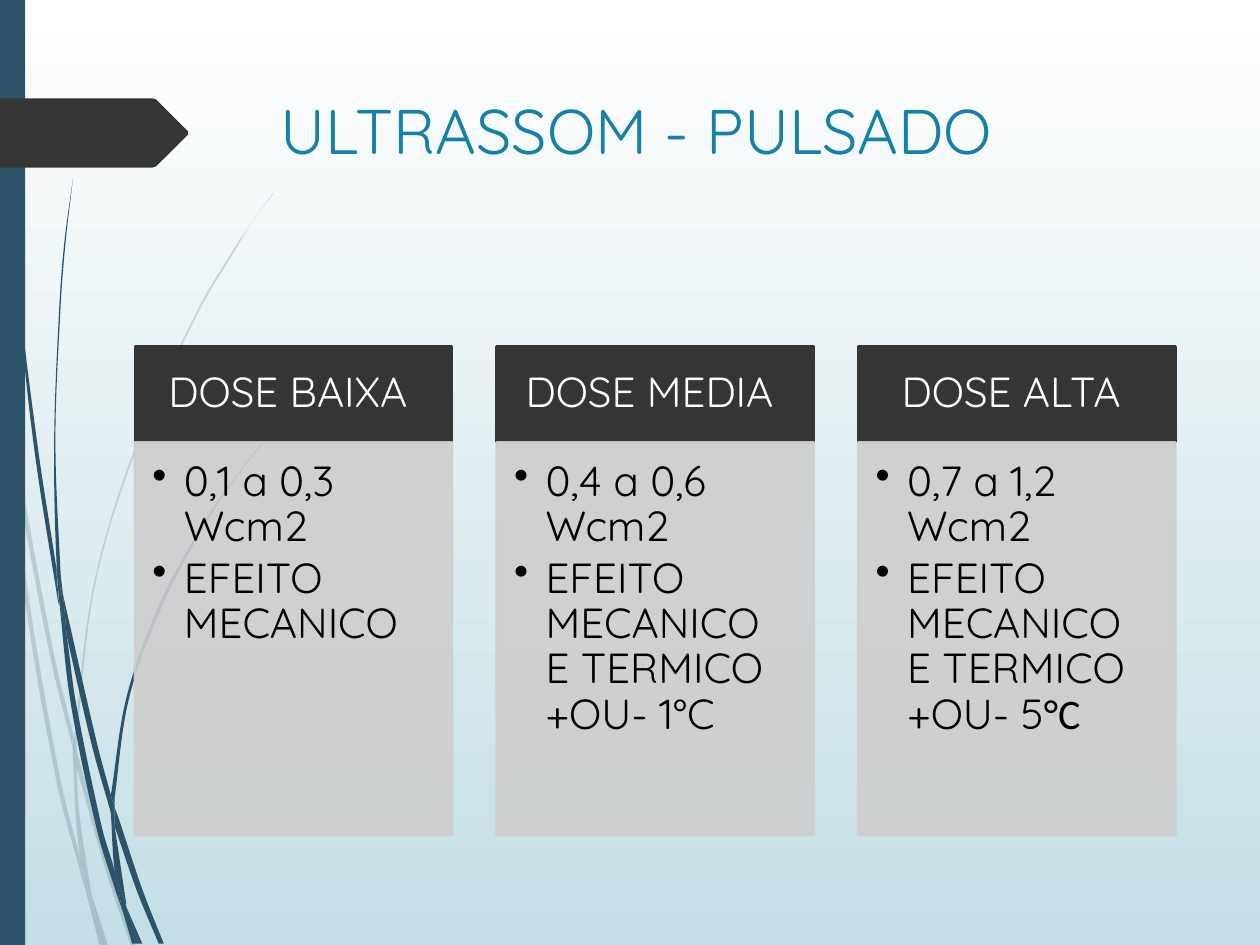
"""Build the slide on pulsed ultrasound doses: title, three dose columns and curved side strands."""
from math import dist
from lxml import etree
from pptx import Presentation, util as u
from pptx.dml.color import RGBColor
from pptx.enum import shapes, text
from pptx.oxml.ns import qn

TITLE = "ULTRASSOM - PULSADO"
DOSES = [
    ("DOSE BAIXA ", [["0,1 a 0,3 Wcm2"], ["EFEITO MECANICO"]]),
    ("DOSE MEDIA ", [["0,4 a 0,6 Wcm2"], ["EFEITO MECANICO E TERMICO +OU- 1°C"]]),
    ("DOSE ALTA ", [["0,7 a 1,2 Wcm2"], ["EFEITO MECANICO E TERMICO +OU- 5", "°C"]]),
]
PALE_STRANDS = [
    ([(.08, 3.5), (.06, 3.22), (0, 2.82)], [(0, 2.99), (.07, 3.44)]),
    ([(.1, 3.45), (.43, 5.2), (.59, 5.86)], [(.59, 5.99), (.4, 5.22), (.12, 3.76)]),
    ([(.61, 5.96), (.64, 6.07), (.88, 6.92), (1.08, 7.51)],
     [(1.04, 7.51), (.85, 6.94), (.61, 6.1)]),
    ([(.73, 7.11), (.86, 7.51)], [(.83, 7.51)]),
    ([(.08, 3.5), (.12, 3.76), (.22, 4.69), (.48, 6.19), (.64, 6.83), (.69, 7.07), (.7, 7.14)],
     [(.64, 6.93), (.45, 6.21), (.19, 4.7), (.08, 3.5)]),
    ([(.58, 5.99), (.6, 6.46), (.64, 6.83), (.67, 6.92), (.73, 7.11)],
     [(.72, 7.06), (.63, 6.46), (.61, 6.1), (.61, 6.08)]),
    ([(2.17, 1.53), (2.01, 1.75), (1.86, 1.97), (1.58, 2.44), (1.1, 3.48), (.75, 4.61),
      (.59, 5.84), (.59, 5.86)],
     [(.61, 5.96), (.61, 5.84), (.76, 4.62), (1.11, 3.49), (1.59, 2.45), (1.87, 1.98),
      (2.01, 1.75), (2.17, 1.54)]),
    ([(.7, 7.14), (.79, 7.51)], [(.82, 7.51)]),
    ([(.59, 5.86), (.58, 5.99), (.61, 6.08)], [(.61, 6.1), (.61, 5.96)]),
    ([(.65, 6.83), (.69, 7.07), (.7, 7.14), (.82, 7.51)],
     [(.83, 7.51), (.73, 7.11), (.67, 6.92)]),
]
DARK_STRANDS = [
    ([(.02, 0), (.03, .48), (.05, 1.1), (.14, 2.33), (.27, 3.55), (.46, 4.77), (.47, 4.81)],
     [(.45, 4.57), (.45, 4.53), (.3, 3.55), (.15, 2.32), (.06, 1.09), (.04, .48), (.03, 0)]),
    ([(.5, 4.72), (.77, 5.9), (.88, 6.31)], [(.88, 6.45), (.73, 5.92), (.53, 5.05)]),
    ([(.91, 6.41), (.94, 6.49), (1.13, 7.06), (1.3, 7.49)],
     [(1.26, 7.49), (1.09, 7.08), (.91, 6.56)]),
    ([(.47, 4.77), (.53, 5.05), (.6, 5.56), (.81, 6.57), (.91, 6.91), (.96, 7.17), (.97, 7.22)],
     [(.92, 7.08), (.77, 6.59), (.56, 5.57), (.47, 4.77)]),
    ([(.58, 1.41), (.52, 1.93), (.48, 2.45), (.44, 3.49), (.48, 4.53), (.5, 4.72)],
     [(.49, 4.72), (.45, 4.49), (.43, 3.49), (.47, 2.45), (.51, 1.93), (.58, 1.41)]),
    ([(1, 7.19), (1.13, 7.49)], [(1.1, 7.49)]),
    ([(.45, 4.49), (.49, 4.72), (.5, 4.72), (.53, 5.05)], [(.47, 4.77), (.45, 4.53)]),
    ([(2.15, 3.44), (2.03, 3.58), (1.91, 3.73), (1.68, 4.05), (1.29, 4.74), (1.01, 5.51),
      (.88, 6.31)],
     [(.91, 6.41), (.91, 6.33), (1.03, 5.52), (1.31, 4.76), (1.69, 4.06), (1.91, 3.74),
      (2.03, 3.59), (2.16, 3.44)]),
    ([(.97, 7.22), (1.05, 7.49)], [(1.08, 7.49)]),
    ([(.88, 6.45), (.91, 6.91), (.96, 7.06), (1, 7.19)],
     [(1, 7.16), (.91, 6.56), (.9, 6.51)]),
    ([(.88, 6.31), (.88, 6.45), (.91, 6.56)], [(.91, 6.41)]),
    ([(.91, 6.91), (.96, 7.17), (.97, 7.22), (1.08, 7.49)],
     [(1.1, 7.49), (1, 7.19), (.96, 7.06)]),
]
ARROW = [(0, .78), (1.21, .78), (1.24, .79), (1.49, 1.04), (1.49, 1.07), (1.24, 1.32),
         (1.21, 1.33), (0, 1.33)]

WHITE = RGBColor(0xFF, 0xFF, 0xFF)
BLACK = RGBColor(0, 0, 0)
SKY = RGBColor(0xC5, 0xDE, 0xE5)
NAVY = RGBColor(0x2E, 0x53, 0x69)
CHARCOAL = RGBColor(0x35, 0x35, 0x35)
SILVER = RGBColor(0xCE, 0xCE, 0xCE)
TEAL = RGBColor(0x15, 0x81, 0xAA)

WIDTH, HEIGHT = 10, 7.5
COLUMN_LEFT, COLUMN_PITCH, COLUMN_WIDTH = 1.07, 2.87, 2.52
HEADER_TOP, HEADER_HEIGHT, BODY_TOP, BODY_HEIGHT = 2.75, .76, 3.51, 3.12
SIDES = ("margin_left", "margin_top", "margin_right", "margin_bottom")
HEADER_FRAME = dict(zip(SIDES, map(u.Inches, (.19, .11, .19, .11))),
                    vertical_anchor=text.MSO_ANCHOR.MIDDLE)
BODY_FRAME = dict(zip(SIDES, map(u.Inches, (.14, .14, .19, .21))),
                  vertical_anchor=text.MSO_ANCHOR.TOP)
HEADER_PARAGRAPH = {"alignment": text.PP_ALIGN.CENTER, "line_spacing": .9}
BODY_PARAGRAPH = {"alignment": text.PP_ALIGN.LEFT, "line_spacing": .9,
                  "space_after": u.Pt(3.6), "level": 1}


def assign(target, values):
    for name, value in values.items():
        setattr(target, name, value)


def set_opacity(fill, percent):
    color = fill._xPr.find(".//" + qn("a:srgbClr"))
    etree.SubElement(color, qn("a:alpha"), val=str(percent * 1000))


def paint(shape, color, opacity=100, outlined=False):
    shape.shadow.inherit = False
    fills = [shape.fill]
    if outlined:
        shape.line.width = u.Pt(1.25)
        fills.append(shape.line.fill)
    else:
        shape.line.fill.background()
    for fill in fills:
        fill.solid()
        fill.fore_color.rgb = color
        if opacity < 100:
            set_opacity(fill, opacity)


def smooth(points):
    """Return the points with two Bézier handles between each neighbouring pair."""
    padded = [points[0], *points, points[-1]]
    tangents = [[(q - p) / ((dist(a, b) + dist(b, c)) or 1) for p, q in zip(a, c)]
                for a, b, c in zip(padded, padded[1:], padded[2:])]
    curve = [points[0]]
    for a, b, start, end in zip(points, points[1:], tangents, tangents[1:]):
        reach = dist(a, b) / 3
        curve += [tuple(p + reach * t for p, t in zip(a, start)),
                  tuple(p - reach * t for p, t in zip(b, end)), b]
    return curve


def draw_outline(container, points, color, opacity=100):
    start, *rest = [(u.Inches(x), u.Inches(y)) for x, y in points]
    builder = container.build_freeform(*start)
    builder.add_line_segments(rest, close=True)
    shape = builder.convert_to_shape()
    paint(shape, color, opacity)
    return shape


def draw_strand(container, outer, inner, color, opacity):
    points = smooth(outer) + [outer[-1], inner[0]] + smooth(inner)
    shape = draw_outline(container, points, color, opacity)
    lines = list(shape._element.iter(qn("a:lnTo")))
    for trio in zip(lines[::3], lines[1::3], lines[2::3]):
        curve = etree.Element(qn("a:cubicBezTo"))
        trio[0].addprevious(curve)
        for line in trio:
            curve.append(line[0])
            line.getparent().remove(line)


def add_run(paragraph, wording, size, color, font="Quicksand"):
    run = paragraph.add_run()
    run.text = wording
    assign(run.font, {"name": font, "size": u.Pt(size)})
    run.font.color.rgb = color


def add_bullet(paragraph):
    properties = paragraph._p.get_or_add_pPr()
    properties.set("marL", str(u.Inches(.25)))
    properties.set("indent", str(-u.Inches(.25)))
    etree.SubElement(properties, qn("a:buChar"), char="•")


def add_box(slide, box, color, opacity=100, outlined=False):
    shape = slide.shapes.add_shape(shapes.MSO_SHAPE.RECTANGLE, *map(u.Inches, box))
    paint(shape, color, opacity, outlined)
    return shape


def add_dose(slide, index, heading, effects):
    left = COLUMN_LEFT + index * COLUMN_PITCH
    header = add_box(slide, (left, HEADER_TOP, COLUMN_WIDTH, HEADER_HEIGHT), CHARCOAL,
                     outlined=True)
    assign(header.text_frame, HEADER_FRAME)
    paragraph = header.text_frame.paragraphs[0]
    assign(paragraph, HEADER_PARAGRAPH)
    add_run(paragraph, heading, 24, WHITE)
    body = add_box(slide, (left, BODY_TOP, COLUMN_WIDTH, BODY_HEIGHT), SILVER, 90, True)
    frame = body.text_frame
    assign(frame, BODY_FRAME)
    for number, runs in enumerate(effects):
        paragraph = frame.add_paragraph() if number else frame.paragraphs[0]
        assign(paragraph, BODY_PARAGRAPH)
        add_bullet(paragraph)
        for wording, font in zip(runs, ("Quicksand", "Calibri")):
            add_run(paragraph, wording, 24, BLACK, font)


def main():
    presentation = Presentation()
    assign(presentation, {"slide_width": u.Inches(WIDTH), "slide_height": u.Inches(HEIGHT)})
    slide = presentation.slides.add_slide(presentation.slide_layouts[6])
    background = slide.background.fill
    background.gradient()
    background.gradient_angle = 270
    for stop, position, color in zip(background.gradient_stops, (0, 1), (WHITE, SKY)):
        stop.position = position
        stop.color.rgb = color
    for strands, opacity in ((PALE_STRANDS, 20), (DARK_STRANDS, 100)):
        group = slide.shapes.add_group_shape()
        for outer, inner in strands:
            draw_strand(group.shapes, outer, inner, NAVY, opacity)
    add_box(slide, (0, 0, WIDTH * .02, HEIGHT), NAVY)
    draw_outline(slide.shapes, ARROW, CHARCOAL)
    title = slide.shapes.add_textbox(*map(u.Inches, (2.13, .68, 7.21, 1.4)))
    title.text_frame.word_wrap = True
    add_run(title.text_frame.paragraphs[0], TITLE, 36, TEAL)
    for index, (heading, effects) in enumerate(DOSES):
        add_dose(slide, index, heading, effects)
    presentation.save("out.pptx")


if __name__ == "__main__":
    main()
